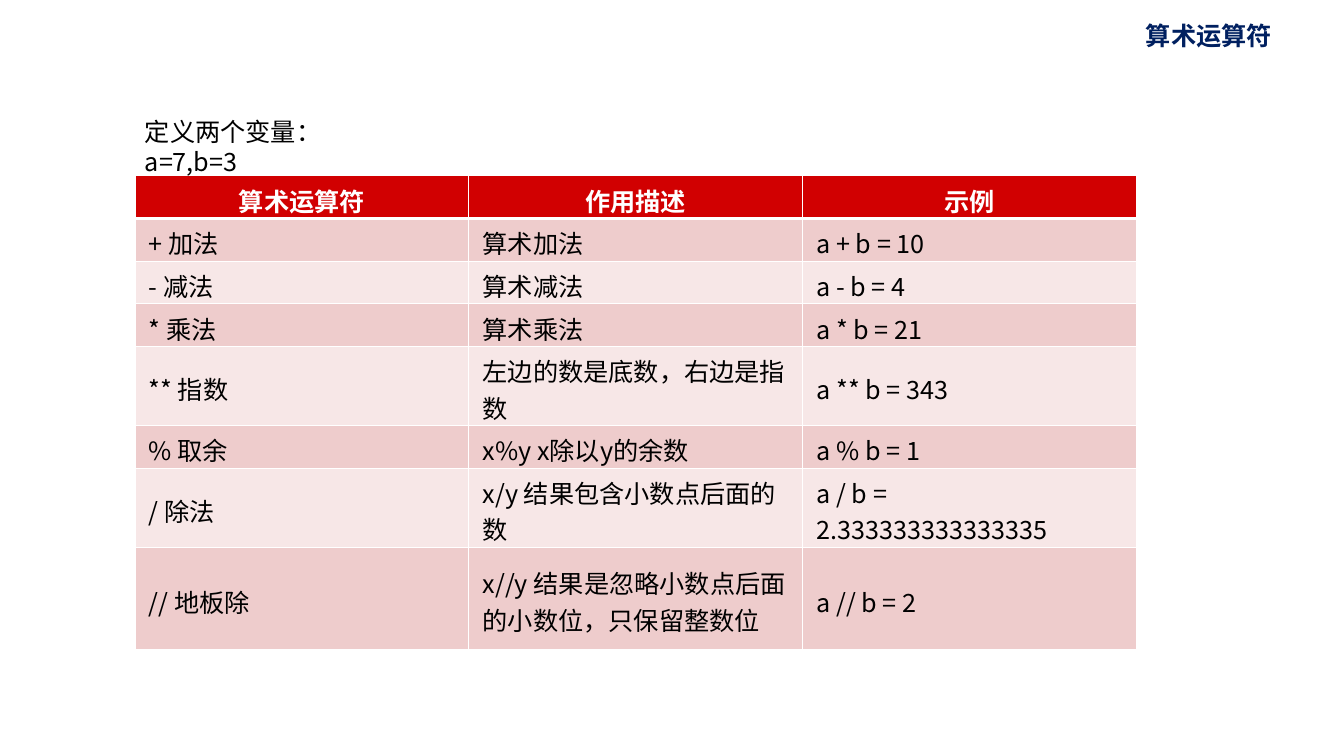
"""Build the slide on arithmetic operators."""
from dataclasses import dataclass

import pptx
import pptx.dml.color
import pptx.enum.text
import pptx.oxml
import pptx.oxml.ns
import pptx.util

Pt = pptx.util.Pt
ALIGN = pptx.enum.text.PP_ALIGN


@dataclass(frozen=True)
class Theme:
    """Colours, font and sizes of the slide."""
    font: str = "Noto Sans CJK SC"
    size: float = 18
    ink: str = "000000"
    title: str = "002060"
    white: str = "FFFFFF"
    header: str = "D10001"
    bands: tuple = ("EECCCC", "F7E7E7")
    rule: float = 1
    header_rule: float = 3


class SlideBuilder:
    """Hold the theme and the current slide."""

    def __init__(self, presentation, theme):
        """Add a blank slide to the presentation."""
        self.theme = theme
        self.slide = presentation.slides.add_slide(presentation.slide_layouts[6])

    def style(self, text_frame, color, bold=False, align=ALIGN.LEFT, spacing=None):
        """Format every paragraph and run of a text frame."""
        for paragraph in text_frame.paragraphs:
            paragraph.alignment = align
            if spacing:
                paragraph.line_spacing = Pt(spacing)
            for run in paragraph.runs:
                run.font.name = self.theme.font
                run.font.size = Pt(self.theme.size)
                run.font.bold = bold
                run.font.color.rgb = pptx.dml.color.RGBColor.from_string(color)
                east_asian = pptx.oxml.parse_xml(
                    f'<a:ea {pptx.oxml.ns.nsdecls("a")} typeface="{self.theme.font}"/>')
                run.font._element.find(pptx.oxml.ns.qn("a:latin")).addnext(east_asian)

    def text(self, words, left, top, width, height, color, bold=False, spacing=None):
        """Add a text box."""
        box = self.slide.shapes.add_textbox(Pt(left), Pt(top), Pt(width), Pt(height))
        box.text_frame.word_wrap = False
        box.text_frame.text = words
        self.style(box.text_frame, color, bold, spacing=spacing)

    def borders(self, cell, bottom):
        """Draw white rules on the four sides of a cell."""
        properties = cell._tc.get_or_add_tcPr()
        widths = dict.fromkeys(("lnL", "lnR", "lnT"), self.theme.rule)
        widths["lnB"] = bottom
        for position, (side, width) in enumerate(widths.items()):
            properties.insert(position, pptx.oxml.parse_xml(
                f'<a:{side} {pptx.oxml.ns.nsdecls("a")} w="{int(Pt(width))}"><a:solidFill>'
                f'<a:srgbClr val="{self.theme.white}"/></a:solidFill></a:{side}>'))

    def table(self, rows, left, top, column_width, heights):
        """Add a banded table whose first row is the header."""
        theme = self.theme
        columns = len(rows[0])
        table = self.slide.shapes.add_table(
            len(rows), columns, Pt(left), Pt(top),
            Pt(column_width * columns), Pt(sum(heights))).table
        for column in table.columns:
            column.width = Pt(column_width)
        for index, (words, height) in enumerate(zip(rows, heights)):
            is_header = index == 0
            table.rows[index].height = Pt(height)
            fill = theme.header if is_header else theme.bands[(index - 1) % 2]
            for cell, value in zip(table.rows[index].cells, words):
                cell.text_frame.text = value
                cell.vertical_anchor = pptx.enum.text.MSO_ANCHOR.MIDDLE
                cell.margin_left = cell.margin_right = Pt(9.9)
                cell.margin_top, cell.margin_bottom = Pt(4.3), Pt(0)
                cell.fill.solid()
                cell.fill.fore_color.rgb = pptx.dml.color.RGBColor.from_string(fill)
                self.borders(cell, theme.header_rule if is_header else theme.rule)
                self.style(cell.text_frame, theme.white if is_header else theme.ink,
                           is_header, ALIGN.CENTER if is_header else ALIGN.LEFT)


OPERATORS = [
    ("算术运算符", "作用描述", "示例"),
    ("+ 加法", "算术加法", "a + b = 10"),
    ("- 减法", "算术减法", "a - b = 4"),
    ("* 乘法", "算术乘法", "a * b = 21"),
    ("** 指数", "左边的数是底数，右边是指数", "a ** b = 343"),
    ("% 取余", "x%y x除以y的余数", "a % b = 1"),
    ("/ 除法", "x/y 结果包含小数点后面的数", "a / b = 2.333333333333335"),
    ("// 地板除", "x//y 结果是忽略小数点后面的小数位，只保留整数位", "a // b = 2"),
]
ONE_LINE, TWO_LINES, LAST_ROW = 30.5, 52.3, 73
HEIGHTS = [ONE_LINE] * 4 + [TWO_LINES, ONE_LINE, TWO_LINES, LAST_ROW]

presentation = pptx.Presentation()
presentation.slide_width, presentation.slide_height = Pt(960), Pt(540)
builder = SlideBuilder(presentation, Theme())
builder.table(OPERATORS, 96.4, 125.6, 238.5, HEIGHTS)
builder.text("定义两个变量：\va=7,b=3", 96.4, 79.2, 208.8, 28.8, builder.theme.ink, spacing=21.6)
builder.text("算术运算符", 811.4, 10.8, 105.1, 28.8, builder.theme.title, bold=True)
presentation.save("out.pptx")
